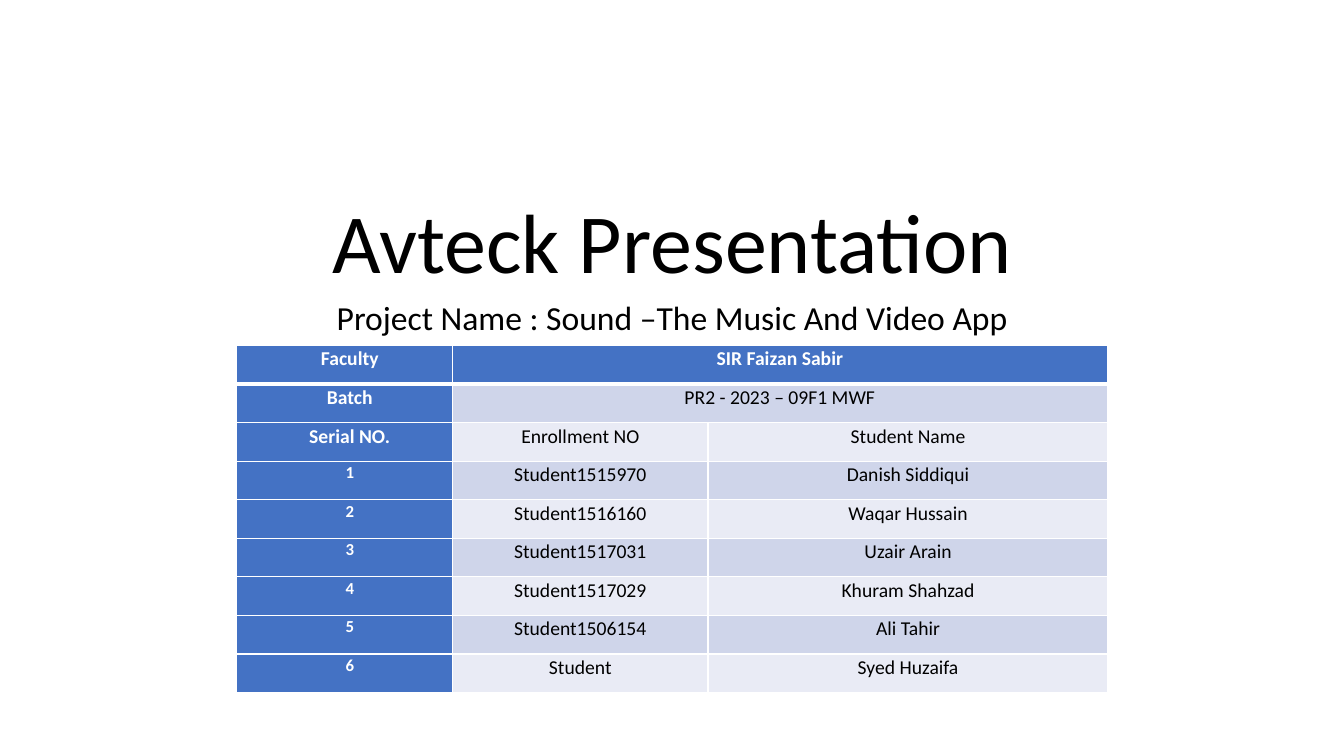
from lxml.etree import SubElement
from pptx import Presentation
from pptx.dml.color import RGBColor
from pptx.enum.text import MSO_ANCHOR, MSO_AUTO_SIZE, PP_ALIGN
from pptx.oxml.ns import qn
from pptx.util import Cm, Pt

BLACK = RGBColor(0x00, 0x00, 0x00)
WHITE = RGBColor(0xFF, 0xFF, 0xFF)
BLUE = RGBColor(0x44, 0x72, 0xC4)
BANDS = RGBColor(0xCF, 0xD5, 0xEA), RGBColor(0xE9, 0xEB, 0xF5)
FONT = "Calibri"

WIDTHS = 5.44, 6.43, 10.06
INDENTS = 0.25, 0, 0.03
ROWS = [
    ("Faculty", "SIR Faizan Sabir"),
    ("Batch", "PR2 - 2023 – 09F1 MWF"),
    ("Serial NO.", "Enrollment NO", "Student Name"),
    ("1", "Student1515970", "Danish Siddiqui"),
    ("2", "Student1516160", "Waqar Hussain"),
    ("3", "Student1517031", "Uzair Arain"),
    ("4", "Student1517029", "Khuram Shahzad"),
    ("5", "Student1506154", "Ali Tahir"),
    ("6", "Student", "Syed Huzaifa"),
]


def write(frame, text, size, color, bold=False, line=0.9):
    """Put one centred paragraph in a text frame and return it."""
    frame.word_wrap = True
    frame.text = text
    para = frame.paragraphs[0]
    para.alignment = PP_ALIGN.CENTER
    para.line_spacing = line
    for run in para.runs:
        font = run.font
        font.name, font.size, font.bold = FONT, Pt(size), bold
        font.color.rgb = color
    return para


def add_title(slide, left, top, width, height):
    title = slide.shapes.title
    title.left, title.top = Cm(left), Cm(top)
    title.width, title.height = Cm(width), Cm(height)
    frame = title.text_frame
    write(frame, "Avteck Presentation", 60, BLACK)
    frame.auto_size = MSO_AUTO_SIZE.NONE
    frame.vertical_anchor = MSO_ANCHOR.BOTTOM


def add_project(slide, left, top, width, height):
    box = slide.shapes.add_textbox(Cm(left), Cm(top), Cm(width), Cm(height))
    para = write(box.text_frame, "Project Name : Sound –The Music And Video App",
                 24, BLACK)
    para.space_before = Pt(10)


def add_edges(cell, top, bottom):
    """Draw white cell borders; top and bottom are widths in points."""
    props = cell._tc.get_or_add_tcPr()
    for side, width in (("L", 1), ("R", 1), ("T", top), ("B", bottom)):
        edge = SubElement(props, qn(f"a:ln{side}"), w=str(Pt(width)))
        fill = SubElement(edge, qn("a:solidFill"))
        SubElement(fill, qn("a:srgbClr"), val=str(WHITE))


def style_cell(cell, text, row, col):
    head = row == 0 or col == 0
    cell.margin_left = cell.margin_right = Cm(0.18)
    cell.margin_top = cell.margin_bottom = 0
    # Serial numbers are smaller than the other entries
    size = 12 if text.isdigit() else 14
    para = write(cell.text_frame, text, size, WHITE if head else BLACK, head, 1.07)
    para.space_after = Pt(8 if col == 1 else 0)
    para._p.get_or_add_pPr().set("marL", str(Cm(INDENTS[col])))
    # A thick rule parts the header from the body
    add_edges(cell, 3 if row == 1 else 1, 3 if row == 0 else 1)
    cell.fill.solid()
    cell.fill.fore_color.rgb = BLUE if head else BANDS[(row - 1) % 2]


def add_roster(slide, left, top, width, height):
    frame = slide.shapes.add_table(len(ROWS), len(WIDTHS), Cm(left), Cm(top),
                                   Cm(width), Cm(height))
    table = frame.table
    for column, size in zip(table.columns, WIDTHS):
        column.width = Cm(size)
    for row, texts in enumerate(ROWS):
        table.rows[row].height = Cm(height / len(ROWS))
        if len(texts) == 2:
            table.cell(row, 1).merge(table.cell(row, 2))
            texts += ("",)
        for col, text in enumerate(texts):
            style_cell(table.cell(row, col), text, row, col)


def main():
    deck = Presentation()
    deck.slide_width, deck.slide_height = Cm(33.87), Cm(19.05)
    slide = deck.slides.add_slide(deck.slide_layouts[5])
    # Headings
    add_title(slide, 4.24, 0.84, 25.4, 6.63)
    add_project(slide, 4.24, 7.47, 25.4, 4.6)
    # Student table
    add_roster(slide, 5.97, 8.71, sum(WIDTHS), 8.74)
    deck.save("out.pptx")


if __name__ == "__main__":
    main()
